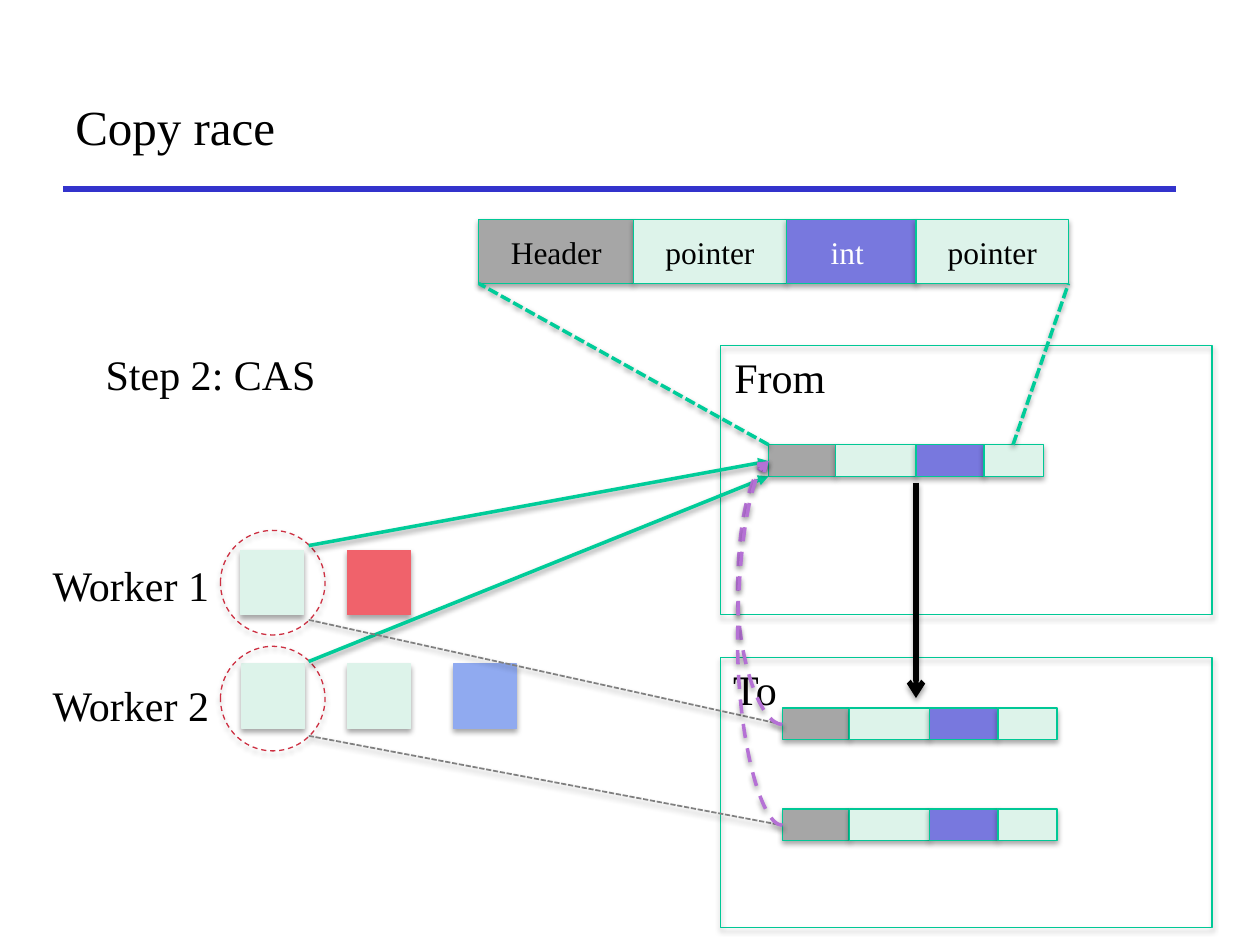
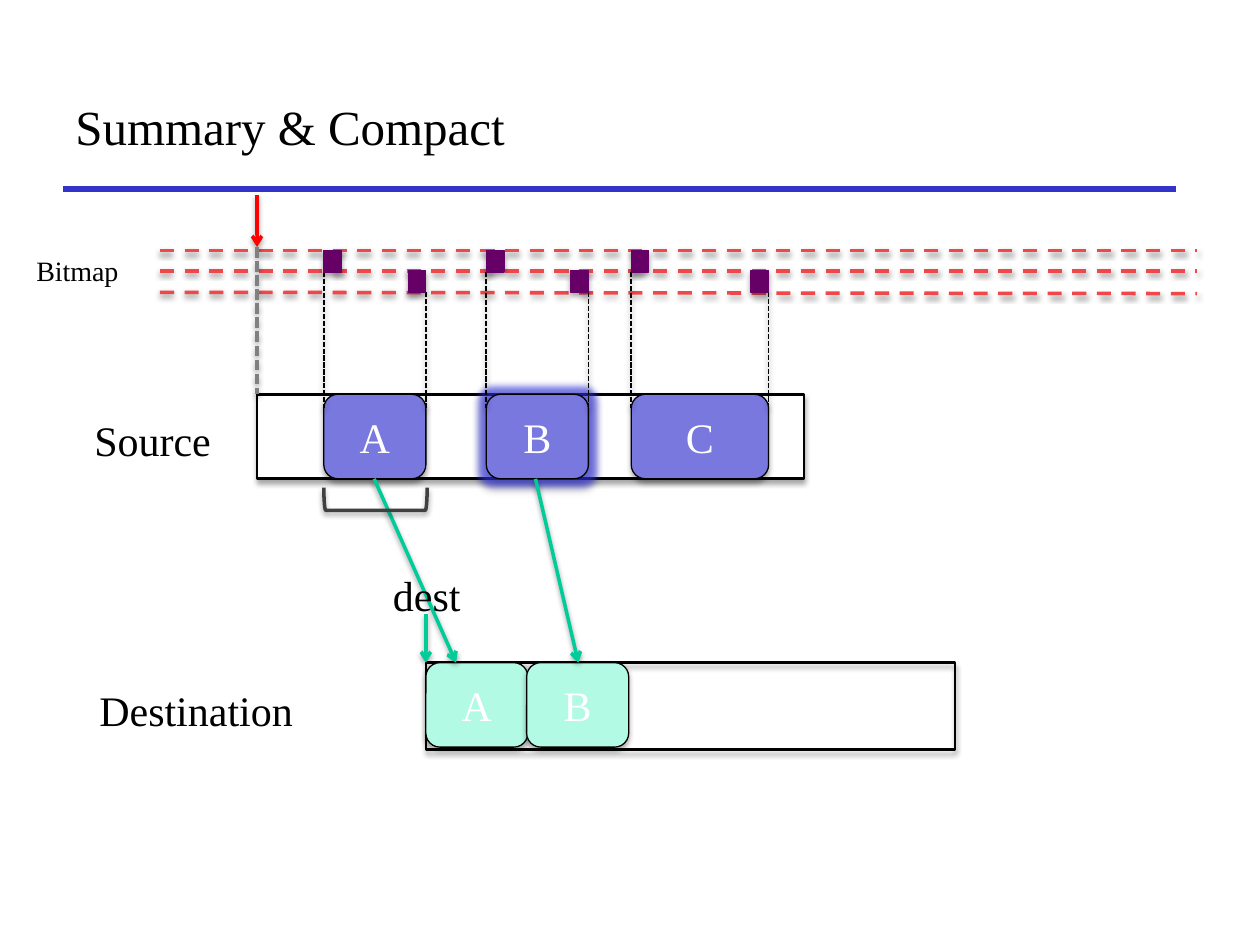
from lxml import etree
from pptx import Presentation
from pptx import util as u
from pptx.dml.color import RGBColor
from pptx.enum import dml, shapes, text
from pptx.oxml.ns import qn

PX = 9144
BLACK = RGBColor(0, 0, 0)
WHITE = RGBColor(255, 255, 255)
GREY = RGBColor(0xA6, 0xA6, 0xA6)
DIM = RGBColor(0x80, 0x80, 0x80)
DARK = RGBColor(0x40, 0x40, 0x40)
MINT = RGBColor(0xDD, 0xF3, 0xEA)
PALE = RGBColor(0xB2, 0xFA, 0xE4)
GREEN = RGBColor(0x00, 0xC8, 0x96)
TEAL = RGBColor(0x00, 0xCC, 0x99)
BLUE = RGBColor(0x78, 0x78, 0xDE)
SKY = RGBColor(0x90, 0xAA, 0xF0)
NAVY = RGBColor(0x33, 0x33, 0xCC)
ROSE = RGBColor(0xF0, 0x62, 0x6B)
CORAL = RGBColor(0xF0, 0x47, 0x4B)
RED = RGBColor(0xFF, 0, 0)
WINE = RGBColor(0xCD, 0x30, 0x42)
PLUM = RGBColor(0x66, 0, 0x66)
LILAC = RGBColor(0xB5, 0x71, 0xD5)

KIND = shapes.MSO_SHAPE
RECT, ROUND, OVAL = KIND.RECTANGLE, KIND.ROUNDED_RECTANGLE, KIND.OVAL
JOIN = shapes.MSO_CONNECTOR
DASH = dml.MSO_LINE.DASH
DOTS = dml.MSO_LINE.SQUARE_DOT
SHADE = (
    '<a:outerShdw xmlns:a="http://schemas.openxmlformats.org/drawingml/2006/main"'
    ' blurRad="40000" dist="{}" dir="5400000" rotWithShape="0">'
    '<a:srgbClr val="000000"><a:alpha val="{}"/></a:srgbClr></a:outerShdw>'
)
GLOW = (
    '<a:glow xmlns:a="http://schemas.openxmlformats.org/drawingml/2006/main"'
    ' rad="101600"><a:srgbClr val="3333E6">'
    '<a:alpha val="60000"/></a:srgbClr></a:glow>'
)


def box(kind, at, fill=None, edge=None, wide=0.75, dash=None, words="", size=24, ink=BLACK):
    spot = [n * PX for n in at]
    if kind is None:
        form = page.shapes.add_textbox(*spot)
        looks = {"word_wrap": False, "auto_size": text.MSO_AUTO_SIZE.SHAPE_TO_FIT_TEXT}
    else:
        form = page.shapes.add_shape(kind, *spot)
        looks = {"word_wrap": True, "vertical_anchor": text.MSO_ANCHOR.MIDDLE}
        form.shadow.inherit = False
        form.element.spPr.find(qn("a:effectLst")).append(
            etree.fromstring(SHADE.format(23000, 35000)))
        if fill is None:
            form.fill.background()
        else:
            form.fill.solid()
            form.fill.fore_color.rgb = fill
        form.line.color.rgb = edge
        form.line.width = u.Pt(wide)
        if dash:
            form.line.dash_style = dash
    if words:
        for key, val in looks.items():
            setattr(form.text_frame, key, val)
        para = form.text_frame.paragraphs[0]
        para.alignment = text.PP_ALIGN.CENTER if kind else text.PP_ALIGN.LEFT
        run = para.add_run()
        run.text = words
        for key, val in {"name": "Times New Roman", "size": u.Pt(size)}.items():
            setattr(run.font, key, val)
        run.font.color.rgb = ink
    return form


def link(ends, tint, wide=2, dash=None, tip=None, shade=True, kind=JOIN.STRAIGHT):
    wire = page.shapes.add_connector(kind, *[n * PX for n in ends])
    wire.line.color.rgb = tint
    wire.line.width = u.Pt(wide)
    if dash:
        wire.line.dash_style = dash
    props = wire.element.spPr
    if tip:
        etree.SubElement(props.find(qn("a:ln")), qn("a:tailEnd"), type=tip)
    mood = etree.SubElement(props, qn("a:effectLst"))
    if shade:
        mood.append(etree.fromstring(SHADE.format(20000, 38000)))
    return wire


deck = Presentation()
deck.slide_width, deck.slide_height = 1000 * PX, 750 * PX
pages = []
for name in ("Copy race", "Summary & Compact"):
    page = deck.slides.add_slide(deck.slide_layouts[6])
    pages.append(page)
    link((50, 150, 933, 150), NAVY, 3, shade=False)
    head = box(None, (50, 50, 883, 100), words=name, size=28)
    for key, val in {
        "word_wrap": True,
        "auto_size": text.MSO_AUTO_SIZE.NONE,
        "vertical_anchor": text.MSO_ANCHOR.MIDDLE,
    }.items():
        setattr(head.text_frame, key, val)

page = pages[0]
for x, y, tint in (
    (191, 437, MINT), (276, 437, ROSE),
    (192, 527, MINT), (276, 527, MINT), (360, 527, SKY),
):
    box(RECT, (x, y, 50, 51), tint, tint)
for y in (421, 513):
    box(OVAL, (175, y, 83, 83), edge=WINE, dash=DASH)

x = 380
for words, wide, tint, ink in (
    ("Header", 123, GREY, BLACK), ("pointer", 121, MINT, BLACK),
    ("int ", 103, BLUE, WHITE), ("pointer", 121, MINT, BLACK),
):
    box(RECT, (x, 174, wide, 51), tint, GREEN, words=words, size=18, ink=ink)
    x += wide
for y in (274, 522):
    box(RECT, (572, y, 390, 214), edge=GREEN)
for left, y in ((610, 353), (621, 562), (621, 642)):
    x = left
    for wide, tint in ((53, GREY), (64, MINT), (54, BLUE), (47, MINT)):
        box(RECT, (x, y, wide, 25), tint, GREEN)
        x += wide

for words, at in (
    ("Worker 1", (32, 439, 145, 50)),
    ("Worker 2", (32, 534, 145, 50)),
    ("Step 2: CAS", (74, 272, 188, 50)),
    ("From", (573, 274, 92, 50)),
    ("To", (572, 522, 57, 50)),
):
    box(None, at, words=words)

for ends in ((245, 433, 610, 366), (245, 525, 610, 378)):
    link(ends, TEAL, tip="triangle")
for ends in ((610, 353, 380, 225), (804, 353, 848, 225)):
    link(ends, TEAL, dash=DOTS)
link((727, 383, 727, 554), BLACK, 3, tip="arrow")
for ends in ((245, 492, 621, 575), (245, 584, 621, 655)):
    link(ends, DIM, 1, DOTS)
for low in (575, 655):
    bow = link((610, 366, 621, low), LILAC, 2, DASH, "arrow", kind=JOIN.CURVE)
    props = bow.element.spPr
    props.find(qn("a:xfrm")).set("rot", "10800000")
    bend = props.find(qn("a:prstGeom")).find(qn("a:avLst"))
    etree.SubElement(bend, qn("a:gd"), name="adj1", fmla="val 323700")

page = pages[1]
for y, end in ((199, 199), (215, 215), (232, 233)):
    link((127, y, 950, end), CORAL, dash=DASH)
box(RECT, (204, 313, 434, 67), WHITE, BLACK, 1.5)
box(RECT, (338, 526, 420, 69), edge=BLACK, wide=1.5)
for words, x, wide in (("A", 257, 81), ("B", 386, 81), ("C", 501, 109)):
    block = box(ROUND, (x, 313, wide, 67), BLUE, BLACK, words=words, ink=WHITE)
    if words == "B":
        block.element.spPr.find(qn("a:effectLst")).insert(0, etree.fromstring(GLOW))
    for edge, y, mark in ((x, 199, x), (x + wide, 215, x + wide - 14)):
        link((edge, y + 17, edge, 324), BLACK, 1, DOTS)
        box(RECT, (mark, y, 14, 17), PLUM, PLUM)
for words, x in (("A", 338), ("B", 418)):
    box(ROUND, (x, 526, 81, 67), PALE, BLACK, words=words, ink=WHITE)

for ends, tint in (
    ((297, 380, 362, 526), TEAL), ((425, 380, 459, 526), TEAL),
    ((338, 487, 338, 526), TEAL), ((204, 155, 204, 196), RED),
):
    link(ends, tint, tip="arrow")
link((204, 196, 204, 313), DIM, dash=DOTS)
brace = box(KIND.LEFT_BRACKET, (289, 355, 18, 82), edge=DARK, wide=2)
brace.rotation = 270

for words, at, size in (
    ("Bitmap", (19, 196, 86, 37), 16),
    ("Source", (65, 324, 114, 50), 24),
    ("Destination", (69, 538, 176, 50), 24),
    ("dest", (302, 447, 78, 50), 24),
):
    box(None, at, words=words, size=size)

deck.save("out.pptx")
